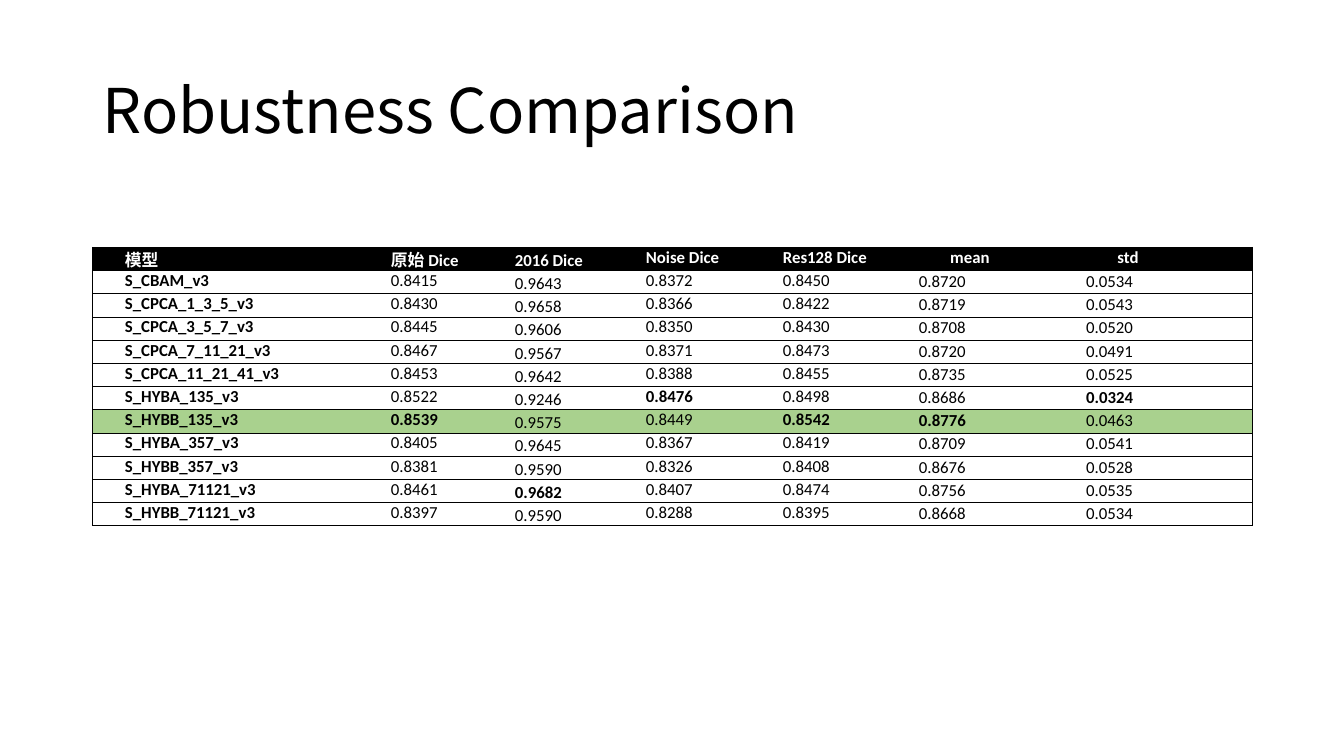
from lxml import etree
from pptx import Presentation
from pptx import util as u
from pptx.dml.color import RGBColor
from pptx.enum import text
from pptx.oxml.ns import qn

WIDTH, HEIGHT = u.Inches(13.33), u.Inches(7.5)
LEFT, CONTENT_WIDTH = 0.069, 0.863  # shares of the slide width
ROW_HEIGHT = u.Inches(0.22)
COLORS = {"ink": "000000", "paper": "FFFFFF", "highlight": "A9D18E"}
TITLE_FONT, TABLE_FONT = "Noto Sans CJK SC", "Calibri"

HEADERS = ["模型", "原始 Dice", "2016 Dice", "Noise Dice", "Res128 Dice", "mean", "std"]
COLUMN_WEIGHTS = [2.64, 1.23, 1.3, 1.36, 1.66, 1.66, 1.66]
RESULTS = [
    ["S_CBAM_v3", "0.8415", "0.9643", "0.8372", "0.8450", "0.8720", "0.0534"],
    ["S_CPCA_1_3_5_v3", "0.8430", "0.9658", "0.8366", "0.8422", "0.8719", "0.0543"],
    ["S_CPCA_3_5_7_v3", "0.8445", "0.9606", "0.8350", "0.8430", "0.8708", "0.0520"],
    ["S_CPCA_7_11_21_v3", "0.8467", "0.9567", "0.8371", "0.8473", "0.8720", "0.0491"],
    ["S_CPCA_11_21_41_v3", "0.8453", "0.9642", "0.8388", "0.8455", "0.8735", "0.0525"],
    ["S_HYBA_135_v3", "0.8522", "0.9246", "0.8476", "0.8498", "0.8686", "0.0324"],
    ["S_HYBB_135_v3", "0.8539", "0.9575", "0.8449", "0.8542", "0.8776", "0.0463"],
    ["S_HYBA_357_v3", "0.8405", "0.9645", "0.8367", "0.8419", "0.8709", "0.0541"],
    ["S_HYBB_357_v3", "0.8381", "0.9590", "0.8326", "0.8408", "0.8676", "0.0528"],
    ["S_HYBA_71121_v3", "0.8461", "0.9682", "0.8407", "0.8474", "0.8756", "0.0535"],
    ["S_HYBB_71121_v3", "0.8397", "0.9590", "0.8288", "0.8395", "0.8668", "0.0534"],
]
BEST_MODEL = "S_HYBB_135_v3"
MODEL, DICE_2016, MEAN, STD = 0, 2, 5, 6


def color(name):
    return RGBColor.from_string(COLORS[name])


def style_font(paragraph, name, size, color_name, bold=False):
    font = paragraph.font
    font.name, font.size, font.bold = name, u.Pt(size), bold
    font.color.rgb = color(color_name)


def add_title(slide, words):
    shape = slide.shapes.add_textbox(
        int(WIDTH * LEFT), int(HEIGHT * 0.053), int(WIDTH * CONTENT_WIDTH), int(HEIGHT * 0.193))
    frame = shape.text_frame
    frame.word_wrap = True
    frame.vertical_anchor = text.MSO_ANCHOR.MIDDLE
    paragraph = frame.paragraphs[0]
    paragraph.text = words
    paragraph.line_spacing = 0.9
    style_font(paragraph, TITLE_FONT, 44, "ink")


def set_borders(cell, column):
    """Rule every row, and close the table at its outer sides only."""
    visible = {"lnL": column == MODEL, "lnR": column == STD, "lnT": True, "lnB": True}
    properties = cell._tc.get_or_add_tcPr()
    for side, shown in visible.items():
        line = etree.SubElement(properties, qn(f"a:{side}"), w=str(u.Pt(0.5)))
        if shown:
            fill = etree.SubElement(line, qn("a:solidFill"))
            etree.SubElement(fill, qn("a:srgbClr"), val=COLORS["ink"])
        else:
            etree.SubElement(line, qn("a:noFill"))


def fill_cell(cell, words, column, is_header, fill_name, bold):
    set_borders(cell, column)
    cell.fill.solid()
    cell.fill.fore_color.rgb = color(fill_name)
    cell.vertical_anchor = text.MSO_ANCHOR.TOP
    is_summary = column >= MEAN and not is_header
    cell.margin_left = cell.margin_right = u.Inches(0.01 if is_summary else 0.07)
    cell.margin_top = u.Inches(0.01 if is_summary else 0)
    cell.margin_bottom = 0

    paragraph = cell.text_frame.paragraphs[0]
    paragraph.text = words
    if not is_summary:
        paragraph._p.get_or_add_pPr().set("marL", str(u.Inches(0.25)))
    if column == DICE_2016:
        paragraph.line_spacing = 1.15
        paragraph.space_after = u.Pt(8)
    style_font(paragraph, TABLE_FONT, 12, "paper" if is_header else "ink", bold)


def best_values():
    """Highest score of each column; the lowest one for std."""
    columns = list(zip(*RESULTS))
    return [min(values) if index == STD else max(values)
            for index, values in enumerate(columns)]


def add_results_table(slide):
    rows = [HEADERS] + RESULTS
    width = WIDTH * CONTENT_WIDTH
    table = slide.shapes.add_table(
        len(rows), len(HEADERS), int(WIDTH * LEFT), int(HEIGHT * 0.327),
        int(width), ROW_HEIGHT * len(rows)).table
    table.horz_banding = False
    for column, weight in zip(table.columns, COLUMN_WEIGHTS):
        column.width = int(width * weight / sum(COLUMN_WEIGHTS))

    best = best_values()
    for row, values in enumerate(rows):
        table.rows[row].height = ROW_HEIGHT
        is_header = row == 0
        highlighted = values[MODEL] == BEST_MODEL
        fill_name = "ink" if is_header else "highlight" if highlighted else "paper"
        for column, words in enumerate(values):
            bold = is_header or column == MODEL or words == best[column]
            fill_cell(table.cell(row, column), words, column, is_header, fill_name, bold)


def main():
    presentation = Presentation()
    presentation.slide_width, presentation.slide_height = WIDTH, HEIGHT
    slide = presentation.slides.add_slide(presentation.slide_layouts[6])
    add_title(slide, "Robustness Comparison")
    add_results_table(slide)
    presentation.save("out.pptx")


if __name__ == "__main__":
    main()
